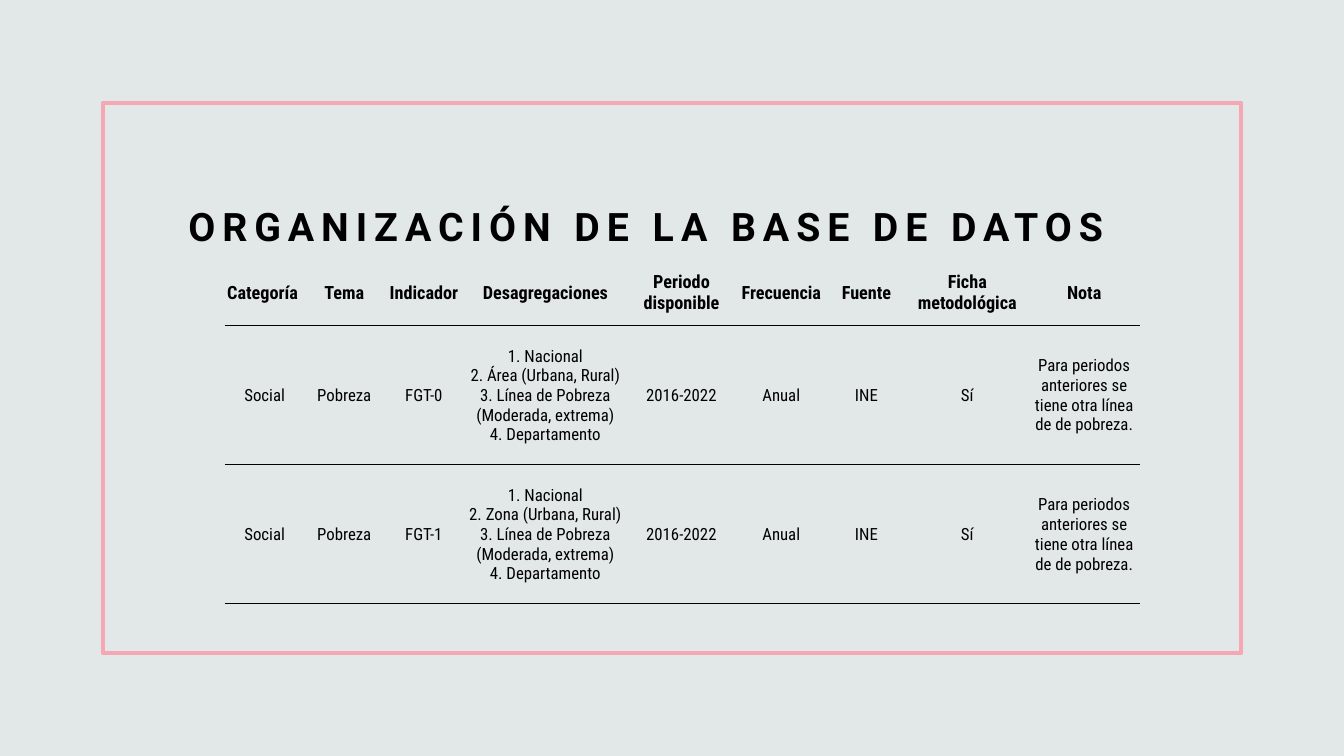
import pptx
import pptx.util
import pptx.dml.color
import pptx.enum.shapes
import pptx.enum.text
import pptx.oxml
import pptx.oxml.ns
from dataclasses import dataclass

SCALE = 9144  # EMU in one px (100 px to the inch)


@dataclass(frozen=True)
class Theme:
    back: str = "E2E8E7"
    frame: str = "F5A8B3"
    ink: str = "000000"
    title_font: str = "Roboto"
    table_font: str = "Roboto Condensed"
    title_size: int = 28
    head_size: int = 13
    body_size: int = 12


THEME = Theme()

# Table content
WIDTHS = [79, 79, 79, 162, 108, 90, 79, 121, 111]
HEIGHTS = [66, 138, 138]
HEADS = ["Categoría ", "Tema", "Indicador", "Desagregaciones", "Periodo disponible",
         "Frecuencia", "Fuente", "Ficha metodológica", "Nota"]
NOTE = "Para periodos anteriores se tiene otra línea de de pobreza."


def entry(code, area):
    levels = ["1. Nacional", f"2. {area} (Urbana, Rural)",
              "3. Línea de Pobreza (Moderada, extrema)", "4. Departamento"]
    return ["Social", "Pobreza", code, "\n".join(levels), "2016-2022",
            "Anual", "INE", "Sí", NOTE]


def px(count):
    return pptx.util.Emu(count * SCALE)


def color(code):
    return pptx.dml.color.RGBColor.from_string(code)


def write(frame, text, font, size, bold=False, align="LEFT", space=0, leading=None):
    """Fill a text frame, one paragraph for each line of text."""
    for num, line in enumerate(text.split("\n")):
        para = frame.add_paragraph() if num else frame.paragraphs[0]
        para.alignment = getattr(pptx.enum.text.PP_ALIGN, align)
        if leading:
            para.line_spacing = leading
        run = para.add_run()
        run.text = line
        run.font.name = font
        run.font.size = pptx.util.Pt(size)
        run.font.bold = bold
        run.font.color.rgb = color(THEME.ink)
        if space:
            run.font._element.set("spc", str(space * 100))


def add_frame(slide, *box):
    rect = slide.shapes.add_shape(
        pptx.enum.shapes.MSO_SHAPE.RECTANGLE, *map(px, box))
    rect.shadow.inherit = False
    rect.fill.background()
    rect.line.color.rgb = color(THEME.frame)
    rect.line.width = pptx.util.Pt(3)


def add_title(slide, text, *box):
    frame = slide.shapes.add_textbox(*map(px, box)).text_frame
    frame.word_wrap = True
    frame.vertical_anchor = pptx.enum.text.MSO_ANCHOR.BOTTOM
    write(frame, text, THEME.title_font, THEME.title_size,
          bold=True, space=5, leading=1.2)


def rule(cell, **widths):
    """Set the cell borders; sides without a width in points are left bare."""
    props = cell._tc.get_or_add_tcPr()
    for place, side in enumerate("LRTB"):
        width = pptx.util.Pt(widths.get(side, 0))
        fill = (f'<a:solidFill><a:srgbClr val="{THEME.ink}"/></a:solidFill>'
                if width else "<a:noFill/>")
        props.insert(place, pptx.oxml.parse_xml(
            f'<a:ln{side} {pptx.oxml.ns.nsdecls("a")} w="{width}">{fill}</a:ln{side}>'))


def add_cell(cell, text, head, last):
    cell.fill.background()
    cell.vertical_anchor = pptx.enum.text.MSO_ANCHOR.MIDDLE
    cell.margin_left = cell.margin_right = cell.margin_top = px(1)
    cell.margin_bottom = 0
    write(cell.text_frame, text, THEME.table_font,
          THEME.head_size if head else THEME.body_size, bold=head, align="CENTER")
    rule(cell, T=0 if head else 1, B=0.5 if last else 1)


def add_grid(slide, rows, left, top):
    box = (left, top, sum(WIDTHS), sum(HEIGHTS))
    grid = slide.shapes.add_table(len(rows), len(WIDTHS), *map(px, box)).table
    grid.first_row = grid.horz_banding = False
    for col, width in zip(grid.columns, WIDTHS):
        col.width = px(width)
    for num, texts in enumerate(rows):
        grid.rows[num].height = px(HEIGHTS[num])
        for col, text in enumerate(texts):
            add_cell(grid.cell(num, col), text, num == 0, num == len(rows) - 1)


def main():
    deck = pptx.Presentation()
    deck.slide_width, deck.slide_height = px(1333), px(750)
    slide = deck.slides.add_slide(deck.slide_layouts[6])

    # Background and frame
    slide.background.fill.solid()
    slide.background.fill.fore_color.rgb = color(THEME.back)
    add_frame(slide, 102, 102, 1129, 546)

    # Title and table
    add_title(slide, "ORGANIZACIÓN DE LA BASE DE DATOS", 177, 135, 1012, 117)
    add_grid(slide, [HEADS, entry("FGT-0", "Área"), entry("FGT-1", "Zona")], 223, 257)

    deck.save("out.pptx")


if __name__ == "__main__":
    main()
